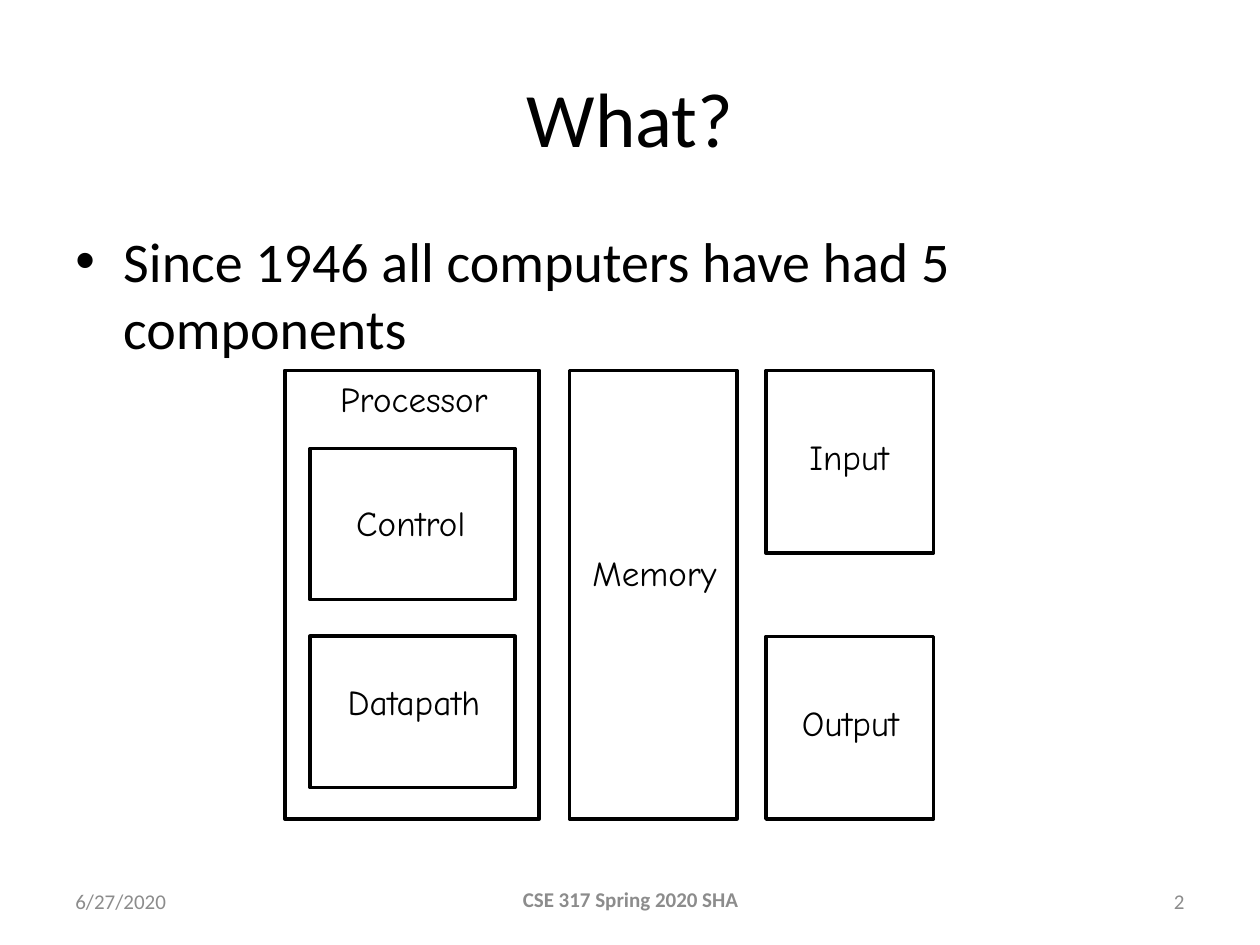
"""Build the slide on the five components of a computer."""
from lxml import etree
from pptx import Presentation
from pptx import util as u
from pptx.dml.color import RGBColor
from pptx.enum import shapes, text
from pptx.oxml.ns import qn

BLACK = RGBColor(0x00, 0x00, 0x00)
GREY = RGBColor(0x8C, 0x8C, 0x8C)
BODY_FONT = "Calibri"
LABEL_FONT = "Comic Neue"
COLUMNS, ROWS = 100, 75
CELL = u.Inches(0.1)

UNIT_TOP, UNIT_HEIGHT = 29.4, 35.6
UNIT_BOTTOM = UNIT_TOP + UNIT_HEIGHT
DEVICE_WIDTH, DEVICE_HEIGHT = 13.3, 14.5
PART_LEFT, PART_WIDTH, PART_HEIGHT = 24.6, 16.3, 12
LOWER_TOP = UNIT_BOTTOM - DEVICE_HEIGHT
MEMORY_LEFT, DEVICE_LEFT = 45.2, 60.8
LABEL_HEIGHT = 4.3

# Each component: name, box (left, top, width, height), label (left, top, width)
COMPONENTS = [
    ("Control", (PART_LEFT, 35.6, PART_WIDTH, PART_HEIGHT), (26.9, 39.3, 11.4)),
    ("Datapath", (PART_LEFT, LOWER_TOP, PART_WIDTH, PART_HEIGHT), (25.9, 53.5, 13.9)),
    ("Memory", (MEMORY_LEFT, UNIT_TOP, DEVICE_WIDTH, UNIT_HEIGHT), (45.8, 43.3, 12.3)),
    ("Processor", (22.6, UNIT_TOP, 20.2, UNIT_HEIGHT), (25.5, 29.5, 14.7)),
    ("Input", (DEVICE_LEFT, UNIT_TOP, DEVICE_WIDTH, DEVICE_HEIGHT), (62.8, 34.1, 9.2)),
    ("Output", (DEVICE_LEFT, LOWER_TOP, DEVICE_WIDTH, DEVICE_HEIGHT), (61.9, 55.2, 11.2)),
]


def cells(*counts):
    """Turn grid counts into slide lengths."""
    return [u.Emu(round(count * CELL)) for count in counts]


def write(frame, wording, size, font, color=BLACK, align=text.PP_ALIGN.LEFT, bold=False):
    """Put one formatted paragraph in a text frame and return it."""
    frame.text = wording
    paragraph = frame.paragraphs[0]
    paragraph.alignment = align
    style = paragraph.runs[0].font
    style.size, style.name, style.bold = u.Pt(size), font, bold
    style.color.rgb = color
    return paragraph


def add_title(slide, wording):
    """Place and fill the title placeholder."""
    title = slide.shapes.title
    title.left, title.top, title.width, title.height = cells(5, 3, 90, 12.5)
    title.text_frame.vertical_anchor = text.MSO_ANCHOR.MIDDLE
    write(title.text_frame, wording, 44, BODY_FONT, align=text.PP_ALIGN.CENTER)


def add_bullet(slide, wording):
    """Add the bulleted statement with a hanging indent."""
    frame = slide.shapes.add_textbox(*cells(5, 17.5, 90, 49.5)).text_frame
    frame.word_wrap = True
    paragraph = write(frame, wording, 32, BODY_FONT)
    paragraph.space_before = u.Pt(6.4)
    properties = paragraph._p.get_or_add_pPr()
    indent = u.Inches(0.38)
    properties.set("marL", str(indent))
    properties.set("indent", str(-indent))
    etree.SubElement(properties, qn("a:buFont")).set("typeface", "Arial")
    etree.SubElement(properties, qn("a:buChar")).set("char", "•")


def add_footer(slide, wording, left, top, width, align, bold=False):
    """Add one grey footer entry."""
    frame = slide.shapes.add_textbox(*cells(left, top, width, 4)).text_frame
    frame.word_wrap = True
    frame.vertical_anchor = text.MSO_ANCHOR.MIDDLE
    write(frame, wording, 12, BODY_FONT, GREY, align, bold)


def add_component(slide, name, box, label):
    """Add an outlined component and its label."""
    outline = slide.shapes.add_shape(shapes.MSO_SHAPE.RECTANGLE, *cells(*box))
    outline.shadow.inherit = False
    outline.fill.background()
    outline.line.color.rgb = BLACK
    outline.line.width = u.Pt(2)
    frame = slide.shapes.add_textbox(*cells(*label, LABEL_HEIGHT)).text_frame
    frame.word_wrap = False
    frame.auto_size = text.MSO_AUTO_SIZE.SHAPE_TO_FIT_TEXT
    write(frame, name, 20, LABEL_FONT, align=text.PP_ALIGN.CENTER)


def main():
    """Build and save the slide."""
    deck = Presentation()
    deck.slide_width, deck.slide_height = cells(COLUMNS, ROWS)
    slide = deck.slides.add_slide(deck.slide_layouts.get_by_name("Title Only"))
    add_title(slide, "What?")
    add_bullet(slide, "Since 1946 all computers have had 5 components")
    add_footer(slide, "6/27/2020", 5, 69.5, 23.3, text.PP_ALIGN.LEFT)
    add_footer(slide, "CSE 317 Spring 2020 SHA", 34.2, 69.4, 31.7, text.PP_ALIGN.CENTER, bold=True)
    add_footer(slide, "2", 71.7, 69.5, 23.3, text.PP_ALIGN.RIGHT)
    for name, box, label in COMPONENTS:
        add_component(slide, name, box, label)
    deck.save("out.pptx")


main()
